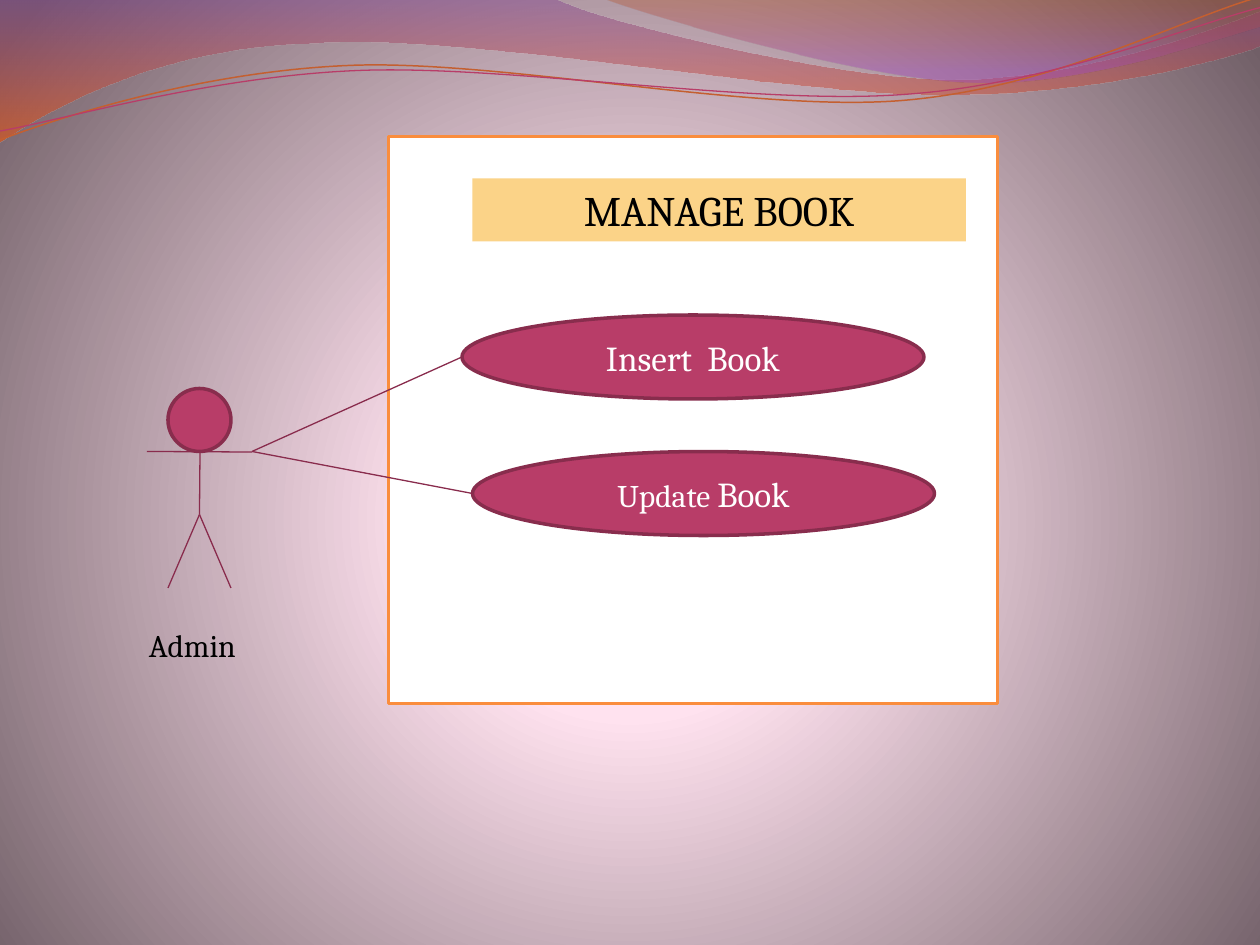
import math

import lxml.etree
import pptx
import pptx.dml.color
import pptx.enum.shapes
import pptx.enum.text
import pptx.oxml.ns
import pptx.util

SHAPE = pptx.enum.shapes.MSO_SHAPE
ANCHOR = pptx.enum.text.MSO_ANCHOR
ALIGN = pptx.enum.text.PP_ALIGN
FIT = pptx.enum.text.MSO_AUTO_SIZE
qn = pptx.oxml.ns.qn

THEME = {
    "font": "Cambria",
    "title": 24, "label": 20, "small": 18,
    "ink": "000000", "paper": "FFFFFF",
    "frame": "FA8D3D", "banner": "FBD388",
    "accent": "B83D68", "accent_edge": "882D4D", "stroke": "892C4D",
    "wave": "C45F30",
    "edge": 2, "thin": 0.75, "wave_width": 0.85,
    # gradient stops: position %, colour, opacity %
    "backdrop": [(0, "FFE3F0", 100), (25, "FFE2EF", 100), (100, "715F67", 100)],
    "left_band": [(0, "834591", 45), (100, "F35307", 55)],
    "right_band": [(0, "B74915", 30), (80, "A14BB4", 45)],
}

# The diagram sits on a grid of 120 columns and 90 rows: left, top, width, height
COLUMNS, ROWS = 120, 90
WIDTH, HEIGHT = pptx.util.Inches(10), pptx.util.Inches(7.5)
SYSTEM = (37, 13, 58, 54)
TITLE = ("MANAGE BOOK", (45, 17, 47, 6))
USE_CASES = [
    ([("Insert  Book", "label")], (44, 30, 44, 8)),
    ([("Update ", "small"), ("Book", "label")], (45, 43, 44, 8)),
]
ACTOR = ("Admin", (13, 59, 16, 5))
HEAD = (16, 37, 6, 6)
HIP, HAND = (19, 49), (24, 43)
LIMBS = [((19.05, 43), HIP), (HIP, (16, 56)), (HIP, (22, 56)), ((14, 43), (24, 43.05))]

# Header outlines in inches, each with its box:
# a pair is a line's end, six numbers are a curve
BANDS = [
    ("left_band", (-0.01, -0.01, 10.02, 1.14),
     [(0, 0), (4.4, -0.01), (4.76, 0.17, 6.64, 0.63, 7.58, 0.63),
      (8.53, 0.63, 9.58, 0.26, 10, 0.09), (10.01, 0.36),
      (9.83, 0.44, 8.7, 0.76, 7.46, 0.75),
      (6.22, 0.75, 3.82, 0.28, 2.57, 0.34),
      (1.29, 0.36, 0.46, 0.83, -0.01, 1.13), (0, 0)]),
    ("right_band", (4.79, -0.01, 5.21, 0.7),
     [(4.79, -0.01), (5.09, 0.11, 6.82, 0.62, 7.69, 0.65),
      (8.56, 0.69, 9.61, 0.32, 10, 0.21), (10, 0), (4.79, -0.01)]),
]
WAVE_TILT = -2.7
WAVES = [
    ("wave", "wave_width", (-0.02, 0.22, 10.02, 0.71),
     [(0, 1.11), (0.48, 0.93, 1.58, 0.57, 2.77, 0.52),
      (3.95, 0.47, 5.93, 0.89, 7.13, 0.8),
      (8.33, 0.71, 9.38, 0.15, 9.98, -0.02)]),
    ("accent", "thin", (-0.02, 0.3, 10.03, 0.58),
     [(0, 1.04), (0.47, 0.96, 1.64, 0.61, 2.83, 0.56),
      (4.03, 0.51, 5.97, 0.84, 7.17, 0.75),
      (8.36, 0.67, 9.41, 0.21, 10, 0.06)]),
]


def color(name):
    return pptx.dml.color.RGBColor.from_string(THEME[name])


def on_grid(*cells):
    """Turn alternating columns and rows into slide lengths."""
    steps = (WIDTH / COLUMNS, HEIGHT / ROWS)
    return [round(cell * steps[i % 2]) for i, cell in enumerate(cells)]


def set_gradient(fill, parent, stops, shade):
    """Give parent a gradient fill; shade is its direction element."""
    fill.solid()
    gradient = lxml.etree.Element(qn("a:gradFill"), rotWithShape="1")
    stop_list = lxml.etree.SubElement(gradient, qn("a:gsLst"))
    for position, rgb, opacity in stops:
        stop = lxml.etree.SubElement(stop_list, qn("a:gs"), pos=str(position * 1000))
        tint = lxml.etree.SubElement(stop, qn("a:srgbClr"), val=rgb)
        if opacity < 100:
            lxml.etree.SubElement(tint, qn("a:alpha"), val=str(opacity * 1000))
    gradient.append(shade)
    parent.replace(parent.find(qn("a:solidFill")), gradient)


def paint(shape, fill=None, line=None, width="edge"):
    shape.shadow.inherit = False
    if fill:
        shape.fill.solid()
        shape.fill.fore_color.rgb = color(fill)
    else:
        shape.fill.background()
    if line:
        shape.line.color.rgb = color(line)
        shape.line.width = pptx.util.Pt(THEME[width])
    else:
        shape.line.fill.background()


def add_box(slide, kind, cells, **look):
    box = slide.shapes.add_shape(kind, *on_grid(*cells))
    paint(box, **look)
    return box


def write(shape, runs, ink="ink", align=ALIGN.CENTER, anchor=ANCHOR.TOP, fit=FIT.NONE):
    """Fill a shape with (text, size name) runs on one line."""
    frame = shape.text_frame
    frame.word_wrap = True
    frame.auto_size = fit
    frame.vertical_anchor = anchor
    line = frame.paragraphs[0]
    line.alignment = align
    for text, size in runs:
        run = line.add_run()
        run.text = text
        run.font.name = THEME["font"]
        run.font.size = pptx.util.Pt(THEME[size])
        run.font.color.rgb = color(ink)


def add_stroke(slide, start, end):
    stroke = slide.shapes.add_connector(
        pptx.enum.shapes.MSO_CONNECTOR.STRAIGHT, *on_grid(*start, *end))
    stroke.line.color.rgb = color("stroke")
    stroke.line.width = pptx.util.Pt(THEME["thin"])
    lxml.etree.SubElement(stroke._element.spPr, qn("a:effectLst"))


def add_outline(slide, box, outline, tilt=0, close=False):
    """Draw lines and curves in a box that is turned by tilt degrees."""
    left, top, width, height = map(pptx.util.Inches, box)
    turn = math.radians(-tilt)

    def local(x, y):
        dx = pptx.util.Inches(x) - left - width / 2
        dy = pptx.util.Inches(y) - top - height / 2
        return (round(width / 2 + dx * math.cos(turn) - dy * math.sin(turn)),
                round(height / 2 + dx * math.sin(turn) + dy * math.cos(turn)))

    steps = [[local(*step[i:i + 2]) for i in range(0, len(step), 2)] for step in outline]
    builder = slide.shapes.build_freeform(*steps[0][0])
    builder.add_line_segments([step[-1] for step in steps[1:]], close=close)
    shape = builder.convert_to_shape()
    shape.left, shape.top, shape.width, shape.height = left, top, width, height
    shape.rotation = tilt

    route = shape._element.find(".//" + qn("a:path"))
    route.set("w", str(width))
    route.set("h", str(height))
    for segment, points in zip(list(route), steps):
        if len(points) == 3:
            curve = lxml.etree.Element(qn("a:cubicBezTo"))
            route.replace(segment, curve)
            segment = curve
        for old in list(segment):
            segment.remove(old)
        for x, y in points:
            lxml.etree.SubElement(segment, qn("a:pt"), x=str(x), y=str(y))
    return shape


def add_header(slide):
    for stops, box, outline in BANDS:
        band = add_outline(slide, box, outline, close=True)
        paint(band)
        down = lxml.etree.Element(qn("a:lin"), ang="5400000", scaled="0")
        set_gradient(band.fill, band._element.spPr, THEME[stops], down)
    for line, width, box, outline in WAVES:
        paint(add_outline(slide, box, outline, tilt=WAVE_TILT), line=line, width=width)


def add_backdrop(slide):
    glow = lxml.etree.Element(qn("a:path"), path="circle")
    lxml.etree.SubElement(glow, qn("a:fillToRect"),
                          l="10000", t="110000", r="10000", b="100000")
    fill = slide.background.fill
    fill.solid()
    set_gradient(fill, slide._element.find(".//" + qn("p:bgPr")), THEME["backdrop"], glow)


def add_diagram(slide):
    add_box(slide, SHAPE.FLOWCHART_PROCESS, SYSTEM, fill="paper", line="frame")
    title, cells = TITLE
    write(add_box(slide, SHAPE.RECTANGLE, cells, fill="banner"), [(title, "title")],
          fit=FIT.SHAPE_TO_FIT_TEXT)
    case_look = {"fill": "accent", "line": "accent_edge"}
    for runs, cells in USE_CASES:
        write(add_box(slide, SHAPE.OVAL, cells, **case_look), runs,
              ink="paper", anchor=ANCHOR.MIDDLE)
    actor, cells = ACTOR
    write(slide.shapes.add_textbox(*on_grid(*cells)), [(actor, "small")],
          align=ALIGN.LEFT, fit=FIT.SHAPE_TO_FIT_TEXT)
    add_box(slide, SHAPE.FLOWCHART_CONNECTOR, HEAD, **case_look)
    links = [(HAND, (left, top + height / 2))
             for _, (left, top, _, height) in USE_CASES]
    for start, end in LIMBS + links:
        add_stroke(slide, start, end)


def main():
    deck = pptx.Presentation()
    deck.slide_width, deck.slide_height = WIDTH, HEIGHT
    slide = deck.slides.add_slide(deck.slide_layouts[6])
    add_backdrop(slide)
    add_header(slide)
    add_diagram(slide)
    deck.save("out.pptx")


if __name__ == "__main__":
    main()
